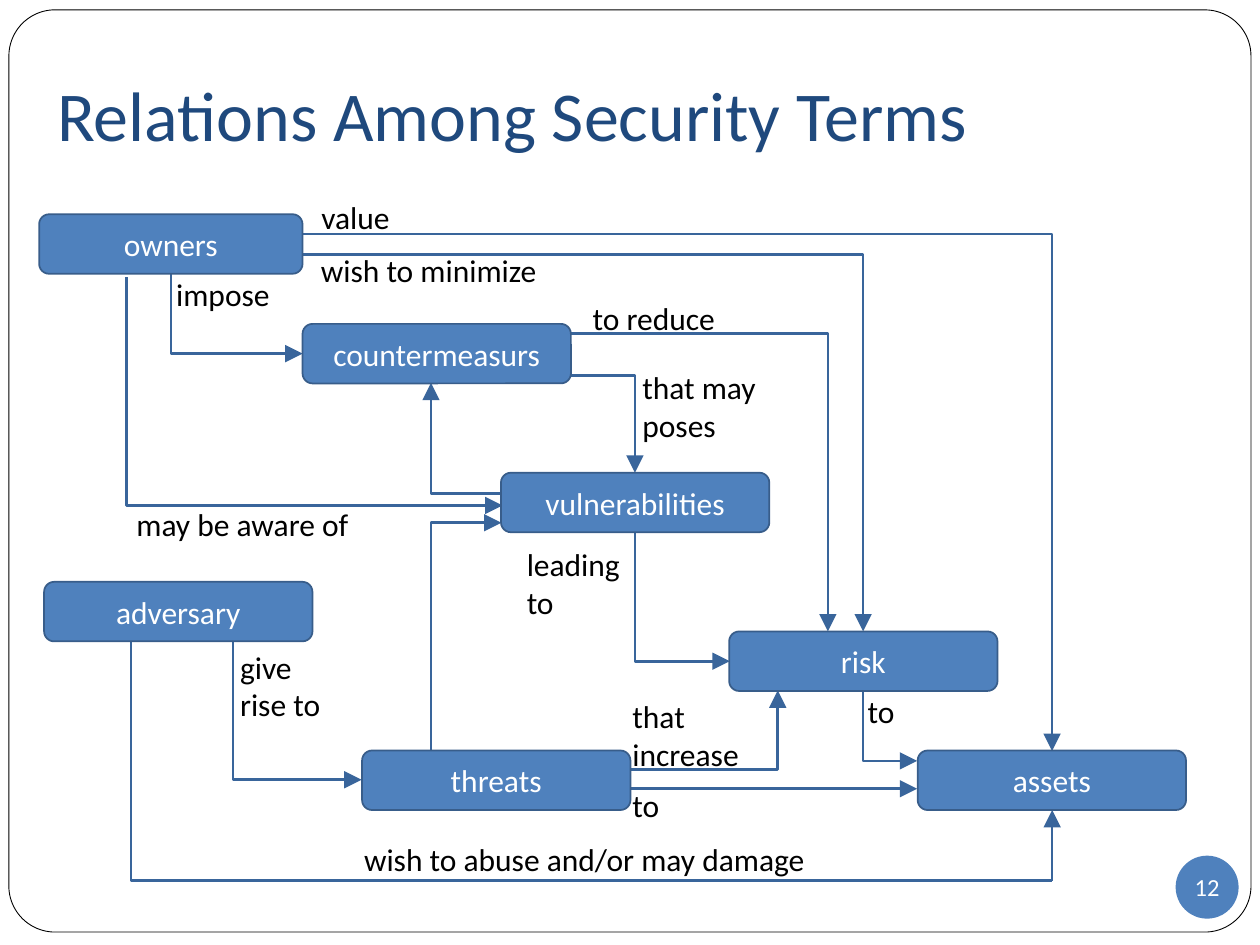
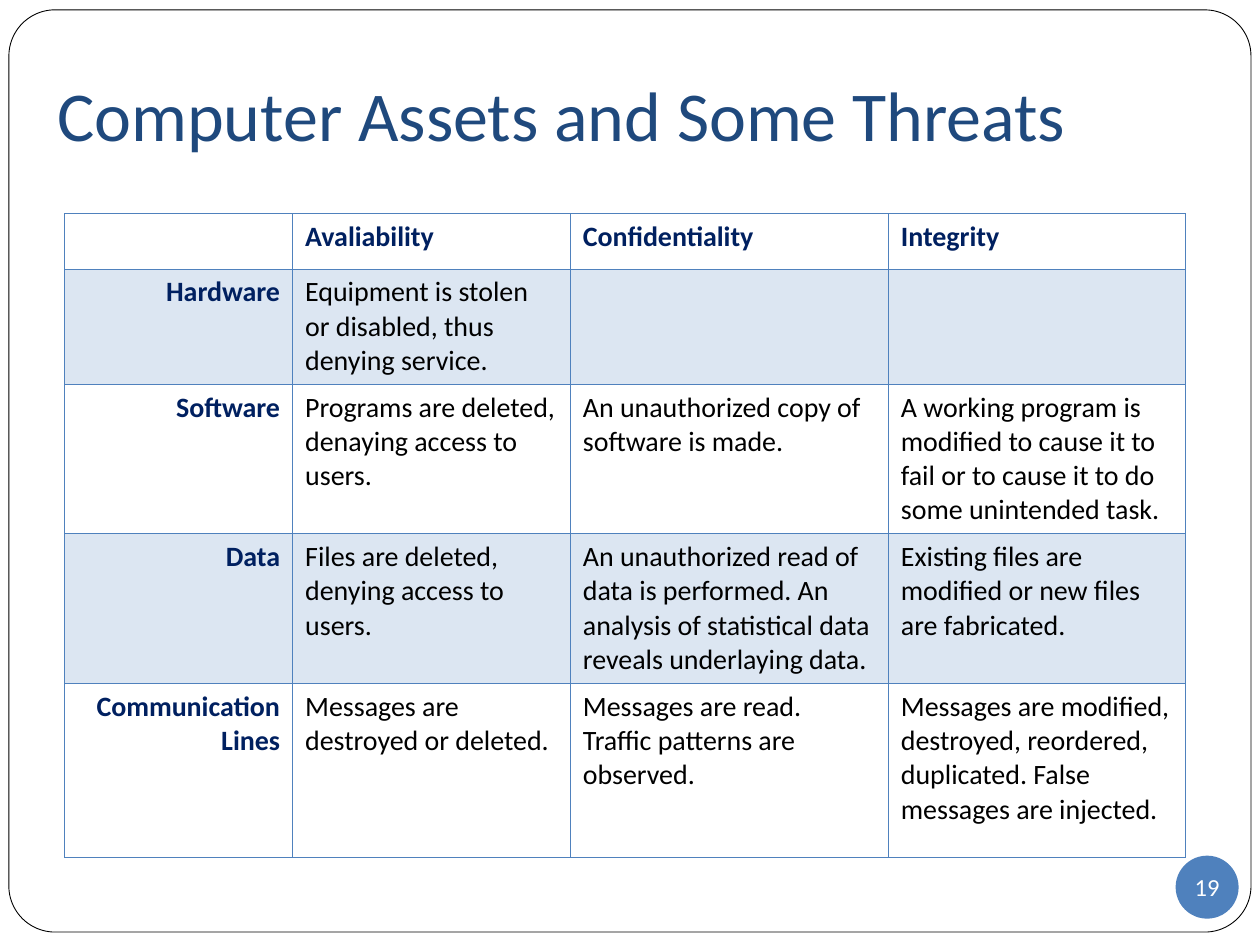
"""Build two slides on security terms: a relation diagram and a table of threats."""
from lxml import etree
from pptx import Presentation
from pptx import util as u
from pptx.dml.color import RGBColor
from pptx.enum import shapes, text
from pptx.oxml.ns import qn

BLUE, EDGE, ARROW = "4F81BD", "385D8A", "39659B"
TITLE, NAVY, BAND = "1F497D", "002060", "DCE6F2"
WHITE, BLACK = "FFFFFF", "000000"
LEFT, CENTER, RIGHT = text.PP_ALIGN.LEFT, text.PP_ALIGN.CENTER, text.PP_ALIGN.RIGHT
TOP, MIDDLE = text.MSO_ANCHOR.TOP, text.MSO_ANCHOR.MIDDLE


def paint(fill, color):
    fill.solid()
    fill.fore_color.rgb = RGBColor.from_string(color)


def write(tf, words, size=18, color=BLACK, bold=False, align=LEFT, anchor=TOP, wrap=True):
    tf.word_wrap = wrap
    tf.vertical_anchor = anchor
    p = tf.paragraphs[0]
    p.alignment = align
    r = p.add_run()
    r.text = words
    r.font.name, r.font.size, r.font.bold = "Calibri", u.Pt(size), bold
    paint(r.font.fill, color)


prs = Presentation()
prs.slide_width, prs.slide_height = u.Cm(25.4), u.Cm(19.05)

slides = []
for title, number in [("Relations Among Security Terms", "12"),
                      ("Computer Assets and Some Threats", "19")]:
    s = prs.slides.add_slide(prs.slide_layouts[5])
    slides.append(s)

    frame = s.shapes.add_shape(shapes.MSO_SHAPE.ROUNDED_RECTANGLE,
                               u.Cm(0.18), u.Cm(0.2), u.Cm(25.04), u.Cm(18.59))
    frame.adjustments[0] = 0.05
    frame.shadow.inherit = False
    paint(frame.fill, WHITE)
    paint(frame.line.fill, BLACK)
    frame.line.width = u.Pt(0.5)
    s.shapes.element.insert(2, frame.element)

    sp = s.shapes.title
    sp.left, sp.top, sp.width, sp.height = u.Cm(0.9), u.Cm(0.76), u.Cm(23.8), u.Cm(3.18)
    tf = sp.text_frame
    tf.auto_size = text.MSO_AUTO_SIZE.NONE
    tf.margin_bottom = u.Cm(0.25)
    write(tf, title, size=40, color=TITLE, anchor=MIDDLE)

    badge = s.shapes.add_shape(shapes.MSO_SHAPE.OVAL,
                               u.Cm(23.7), u.Cm(17.25), u.Cm(1.27), u.Cm(1.27))
    badge.shadow.inherit = False
    paint(badge.fill, BLUE)
    badge.line.fill.background()
    tf = badge.text_frame
    tf.margin_left = tf.margin_right = tf.margin_top = tf.margin_bottom = 0
    write(tf, number, size=14, color=WHITE, align=CENTER, anchor=MIDDLE, wrap=False)

diagram, threats = slides

ACROSS_FIRST, DOWN_FIRST, STRAIGHT = 100000, 0, None
routes = [
    (6.1, 4.72, 21.21, 15.14, ACROSS_FIRST, True),
    (6.1, 5.13, 17.4, 12.73, ACROSS_FIRST, True),
    (3.45, 5.51, 6.1, 7.13, DOWN_FIRST, True),
    (11.51, 6.72, 16.69, 12.73, ACROSS_FIRST, True),
    (10.11, 9.95, 8.69, 7.72, ACROSS_FIRST, True),
    (11.51, 7.57, 12.8, 9.53, ACROSS_FIRST, True),
    (2.55, 5.59, 10.13, 10.19, DOWN_FIRST, True),
    (4.7, 12.93, 7.29, 15.72, DOWN_FIRST, True),
    (2.64, 12.93, 21.21, 17.75, DOWN_FIRST, False),
    (21.21, 17.75, 21.21, 16.33, STRAIGHT, True),
    (8.69, 15.14, 10.11, 10.54, DOWN_FIRST, True),
    (12.8, 10.72, 14.71, 13.33, DOWN_FIRST, True),
    (12.7, 15.52, 15.68, 13.92, ACROSS_FIRST, True),
    (12.7, 15.9, 18.49, 15.9, STRAIGHT, True),
    (17.4, 13.92, 18.49, 15.34, DOWN_FIRST, True),
]
for *ends, bend, arrow in routes:
    kind = shapes.MSO_CONNECTOR.STRAIGHT if bend is STRAIGHT else shapes.MSO_CONNECTOR.ELBOW
    c = diagram.shapes.add_connector(kind, *[u.Cm(v) for v in ends])
    paint(c.line.fill, ARROW)
    c.line.width = u.Pt(1.5)
    spPr = c.element.spPr
    if bend is not STRAIGHT:
        guides = spPr.find(qn("a:prstGeom")).find(qn("a:avLst"))
        etree.SubElement(guides, qn("a:gd"), name="adj1", fmla=f"val {bend}")
    if arrow:
        etree.SubElement(spPr.find(qn("a:ln")), qn("a:tailEnd"),
                         type="triangle", w="lg", len="lg")
    etree.SubElement(spPr, qn("a:effectLst"))

terms = [
    ("owners", 0.79, 4.32, 5.31),
    ("countermeasurs", 6.1, 6.53, 5.41),
    ("vulnerabilities", 10.1, 9.53, 5.41),
    ("adversary", 0.89, 11.73, 5.41),
    ("risk", 14.7, 12.73, 5.41),
    ("threats", 7.3, 15.13, 5.41),
    ("assets", 18.5, 15.13, 5.41),
]
for term, x, y, w in terms:
    sp = diagram.shapes.add_shape(shapes.MSO_SHAPE.ROUNDED_RECTANGLE,
                                  u.Cm(x), u.Cm(y), u.Cm(w), u.Cm(1.2))
    sp.shadow.inherit = False
    paint(sp.fill, BLUE)
    paint(sp.line.fill, EDGE)
    sp.line.width = u.Pt(1)
    write(sp.text_frame, term, color=WHITE, align=CENTER, anchor=MIDDLE)

ONE_LINE, TWO_LINES = 1.02, 1.78
labels = [
    ("value", 6.23, 3.86, 2.39, ONE_LINE),
    ("wish to minimize", 6.22, 4.93, 5.41, ONE_LINE),
    ("impose", 3.3, 5.41, 2.39, ONE_LINE),
    ("to reduce", 11.7, 5.9, 3.4, ONE_LINE),
    ("that may poses", 12.7, 7.29, 3.4, TWO_LINES),
    ("may be aware of", 2.5, 10.06, 5.41, ONE_LINE),
    ("leading to", 10.37, 10.86, 2.59, TWO_LINES),
    ("give rise to", 4.59, 12.93, 2.59, TWO_LINES),
    ("that increase", 12.5, 13.93, 3.4, TWO_LINES),
    ("to", 12.5, 15.73, 1.6, ONE_LINE),
    ("to", 17.24, 13.82, 1.4, ONE_LINE),
    ("wish to abuse and/or may damage", 7.09, 16.8, 10.01, ONE_LINE),
]
for label, x, y, w, h in labels:
    sp = diagram.shapes.add_textbox(u.Cm(x), u.Cm(y), u.Cm(w), u.Cm(h))
    write(sp.text_frame, label, align=CENTER if label == "impose" else LEFT)

rows = [
    ["", "Avaliability", "Confidentiality", "Integrity"],
    ["Hardware", "Equipment is stolen or disabled, thus denying service.", "", ""],
    ["Software", "Programs are deleted, denaying access to users.",
     "An unauthorized copy of software is made.",
     "A working program is modified to cause it to fail or to cause it to do "
     "some unintended task."],
    ["Data", "Files are deleted, denying access to users.",
     "An unauthorized read of data is performed. An analysis of statistical data "
     "reveals underlaying data.",
     "Existing files are modified or new files are fabricated."],
    ["Communication Lines", "Messages are destroyed or deleted.",
     "Messages are read. Traffic patterns are observed.",
     "Messages are modified, destroyed, reordered, duplicated. False messages "
     "are injected."],
]
widths = [4.6, 5.6, 6.41, 5.99]
heights = [1.11, 2.29, 2.97, 2.97, 3.5]
tbl = threats.shapes.add_table(len(rows), len(widths), u.Cm(1.3), u.Cm(4.31),
                               u.Cm(sum(widths)), u.Cm(sum(heights))).table
tbl.first_row = tbl.horz_banding = False
for column, width in zip(tbl.columns, widths):
    column.width = u.Cm(width)
for i, (row, height) in enumerate(zip(rows, heights)):
    tbl.rows[i].height = u.Cm(height)
    for j, words in enumerate(row):
        cell = tbl.cell(i, j)
        if i % 2:
            paint(cell.fill, BAND)
        else:
            cell.fill.background()
        if words:
            heading = i == 0 or j == 0
            write(cell.text_frame, words, size=16, color=NAVY if heading else BLACK,
                  bold=heading, align=RIGHT if j == 0 else LEFT)
        tcPr = cell._tc.get_or_add_tcPr()
        for k, side in enumerate(["lnL", "lnR", "lnT", "lnB"]):
            ln = etree.Element(qn(f"a:{side}"), w=str(u.Pt(0.45)))
            fill = etree.SubElement(ln, qn("a:solidFill"))
            etree.SubElement(fill, qn("a:srgbClr"), val=BLUE)
            tcPr.insert(k, ln)

prs.save("out.pptx")
